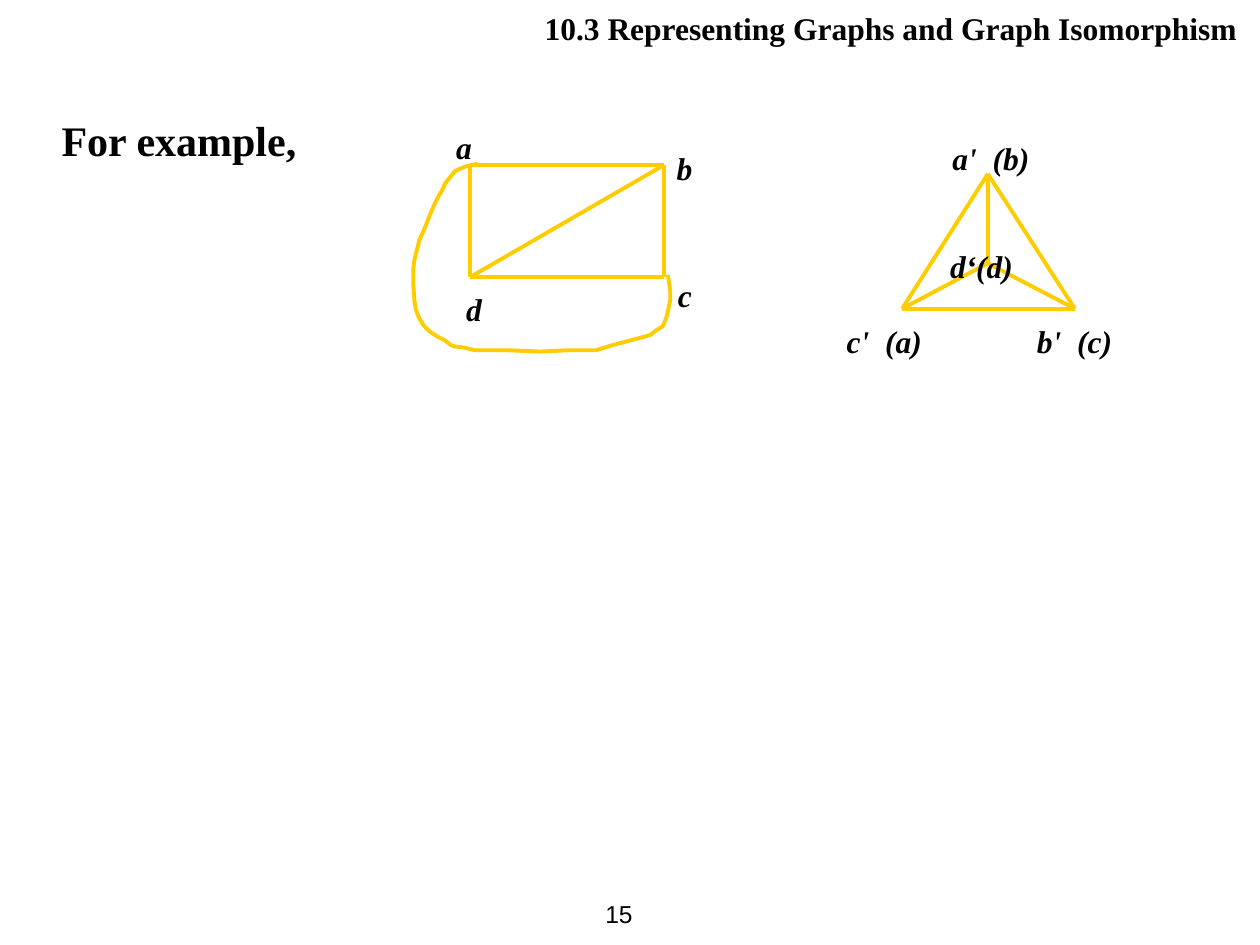
import pptx
import pptx.util
import pptx.dml.color
import pptx.enum.shapes
import pptx.enum.text
import pptx.oxml.ns
import lxml.etree

COLORS = {"ink": "000000", "edge": "FFCC00", "paper": "FFFFFF"}
ALIGN = pptx.enum.text.PP_ALIGN
ANCHOR = pptx.enum.text.MSO_ANCHOR
AUTO_SIZE = pptx.enum.text.MSO_AUTO_SIZE

# The slide is a grid of 100 columns by 75 rows of square cells
COLUMNS, ROWS = 100, 75
CELL = pptx.util.Inches(0.1)
EDGE_WIDTH = pptx.util.Pt(2.25)

SERIF = {"name": "Times New Roman", "size": pptx.util.Pt(18), "bold": True}
HEADING = {**SERIF, "size": pptx.util.Pt(24)}
VERTEX = {**SERIF, "italic": True}
TRAILING = {**HEADING, "bold": False}
NUMBER = {"name": "Arial", "size": pptx.util.Pt(14)}

# Graphs: corners, edges between them, labels as (text, left, top, width)
RECTANGLE = {
    "corners": {"a": (37.3, 13.1), "b": (52.7, 13.1),
                "c": (52.7, 22), "d": (37.3, 22)},
    "edges": ["ad", "ab", "bc", "dc", "db"],
    "labels": [("a", 36.2, 10.2, 1.3), ("d", 37, 23, 1.3),
               ("c", 53.8, 21.9, 1.2), ("b", 53.7, 11.8, 1.3)],
}
TRIANGLE = {
    "corners": {"a": (78.4, 13.8), "b": (85.3, 24.5),
                "c": (71.6, 24.5), "d": (78.4, 20.9)},
    "edges": ["cb", "ab", "ac", "ad", "cd", "db"],
    "labels": [("b'  (c)", 82.3, 25.6, 6.3), ("a'  (b)", 75.6, 11, 6.3),
               ("c'  (a)", 67.2, 25.6, 6.3), ("d‘(d)", 75.4, 19.6, 5.2)],
}

# Curved edge from a to c, around the outside of d
OUTER_EDGE = [
    (37.9, 13), (37.4, 13.1), (37, 13.2), (36.5, 13.4), (36.1, 13.6),
    (35.7, 14.1), (35.3, 14.6), (35.2, 14.9), (34.8, 15.6), (34.5, 16.2),
    (34.1, 17.1), (33.8, 17.9), (33.5, 18.6), (33.3, 19), (33.1, 19.8),
    (32.9, 20.6), (32.8, 21.4), (32.8, 22.5), (32.9, 23.9), (33, 24.5),
    (33.2, 25.1), (33.6, 25.8), (34.1, 26.3), (34.7, 26.7), (35.3, 27),
    (35.8, 27.4), (36.1, 27.5), (36.9, 27.6), (37.7, 27.8), (40.3, 27.8),
    (42.9, 27.9), (45.1, 27.8), (47.3, 27.8), (48.6, 27.4), (50.1, 27),
    (51.6, 26.6), (52.1, 26.2), (52.6, 25.9), (52.9, 25.2), (53.1, 24.3),
    (53.2, 23.8), (53.2, 23.1), (53.1, 22.4), (53, 21.8),
]


def cells(*counts):
    return [round(count * CELL) for count in counts]


def color(name):
    return pptx.dml.color.RGBColor.from_string(COLORS[name])


def set_attributes(target, values):
    for name, value in values.items():
        setattr(target, name, value)


def add_text(shapes, box, runs, frame_format, paragraph_format=None):
    """Add a text box; runs are pairs of text and font format."""
    frame = shapes.add_textbox(*cells(*box)).text_frame
    set_attributes(frame, frame_format)
    paragraph = frame.paragraphs[0]
    set_attributes(paragraph, paragraph_format or {})
    for text, font_format in runs:
        run = paragraph.add_run()
        run.text = text
        set_attributes(run.font, font_format)
        run.font.color.rgb = color("ink")


def style_edge(shape):
    shape.line.color.rgb = color("edge")
    shape.line.width = EDGE_WIDTH


def add_edge(shapes, start, end):
    connector = shapes.add_connector(
        pptx.enum.shapes.MSO_CONNECTOR.STRAIGHT, *cells(*start, *end))
    style_edge(connector)
    lxml.etree.SubElement(connector._element.spPr,
                          pptx.oxml.ns.qn("a:effectLst"))


def add_curve(shapes, points):
    # Freeform units are tenths of a cell
    units = [(round(x * 10), round(y * 10)) for x, y in points]
    builder = shapes.build_freeform(*units[0], scale=CELL / 10)
    builder.add_line_segments(units[1:], close=False)
    shape = builder.convert_to_shape()
    shape.shadow.inherit = False
    shape.fill.background()
    style_edge(shape)


def add_graph(slide, graph, curve=None):
    shapes = slide.shapes.add_group_shape().shapes
    for start, end in graph["edges"]:
        add_edge(shapes, graph["corners"][start], graph["corners"][end])
    if curve:
        add_curve(shapes, curve)
    label_frame = {"word_wrap": False, "margin_left": 0, "margin_right": 0,
                   "margin_top": 0, "margin_bottom": 0,
                   "auto_size": AUTO_SIZE.SHAPE_TO_FIT_TEXT}
    for text, left, top, width in graph["labels"]:
        add_text(shapes, (left, top, width, 3), [(text, VERTEX)], label_frame)


def main():
    presentation = pptx.Presentation()
    presentation.slide_width, presentation.slide_height = cells(COLUMNS, ROWS)
    slide = presentation.slides.add_slide(presentation.slide_layouts[6])
    slide.background.fill.solid()
    slide.background.fill.fore_color.rgb = color("paper")

    # Slide number and lead-in
    add_text(slide.shapes, (44.5, 70, 6.7, 5), [("15", NUMBER)],
             {"word_wrap": False, "vertical_anchor": ANCHOR.MIDDLE},
             {"alignment": ALIGN.RIGHT})
    spacing = {"space_before": pptx.util.Pt(3)}
    add_text(slide.shapes, (3.9, 8.6, 91.4, 5), [("For example,", HEADING)],
             {"word_wrap": True}, spacing)

    # The two isomorphic graphs
    add_graph(slide, RECTANGLE, OUTER_EDGE)
    add_graph(slide, TRIANGLE)

    # Section title
    add_text(slide.shapes, (40.6, -0.6, 59.4, 5),
             [("10.3 Representing Graphs and Graph Isomorphism", SERIF),
              (" ", TRAILING)],
             {"word_wrap": True}, {"alignment": ALIGN.RIGHT, **spacing})

    presentation.save("out.pptx")


if __name__ == "__main__":
    main()
